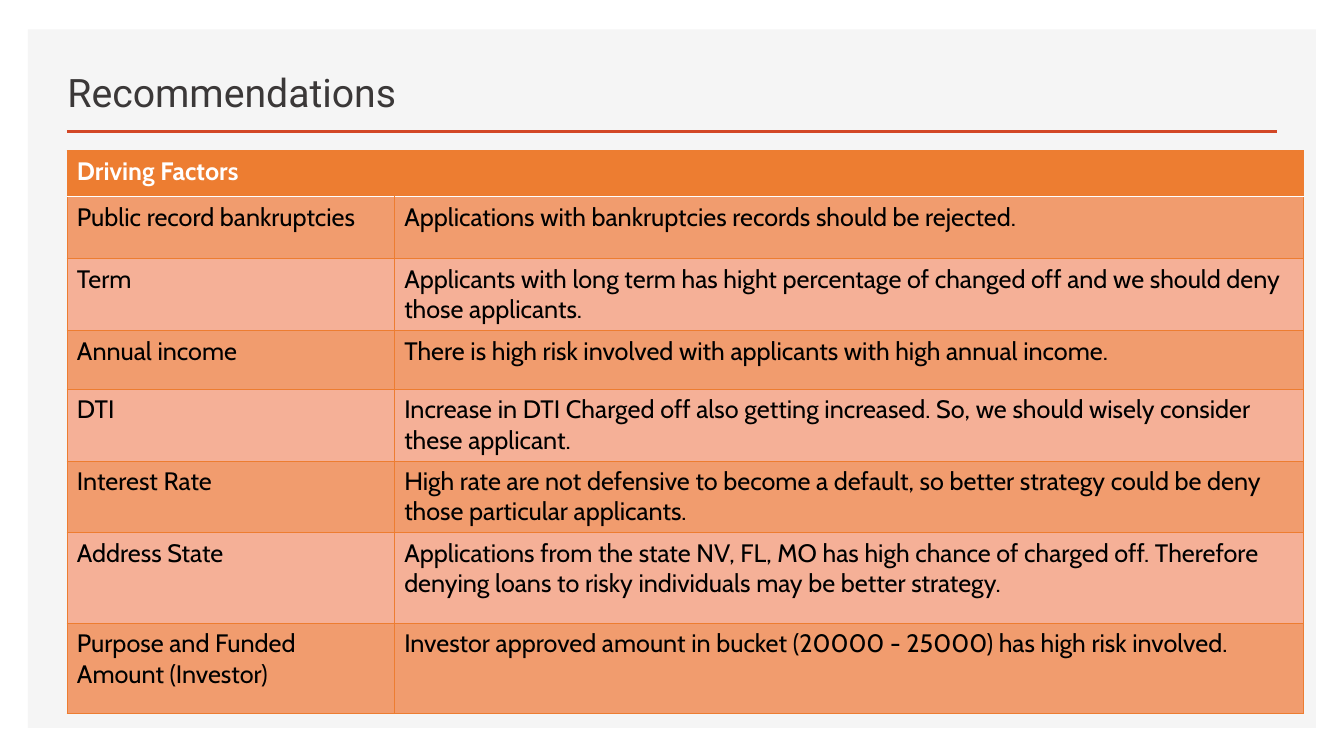
from dataclasses import dataclass

from lxml.etree import SubElement
from pptx import Presentation
from pptx.dml.color import RGBColor as RGB
from pptx.enum.shapes import MSO_CONNECTOR as CONNECTOR, MSO_SHAPE as SHAPE
from pptx.enum.text import MSO_ANCHOR as ANCHOR, MSO_AUTO_SIZE as AUTO_SIZE, PP_ALIGN as ALIGN
from pptx.oxml.ns import qn
from pptx.util import Pt


@dataclass(frozen=True)
class Theme:
    panel: str = "F5F5F5"
    rule: str = "D24726"
    title: str = "3B3838"
    accent: str = "ED7D31"
    dark_band: str = "F19C6E"
    light_band: str = "F5B097"
    white: str = "FFFFFF"
    black: str = "000000"
    title_font: str = "Roboto"
    body_font: str = "Cabin"
    title_size: int = 28
    body_size: int = 18


theme = Theme()


def style_text(frame, font, size, color, bold=False):
    for para in frame.paragraphs:
        para.alignment = ALIGN.LEFT
        for span in para.runs:
            span.font.name = font
            span.font.size = Pt(size)
            span.font.bold = bold
            span.font.color.rgb = RGB.from_string(color)


def add_border(cell, side, color, width):
    """Draw one side (L, R, T or B) of a cell; no color means no line."""
    props = cell._tc.get_or_add_tcPr()
    line = SubElement(props, qn(f"a:ln{side}"), w=str(Pt(width)))
    if color:
        SubElement(SubElement(line, qn("a:solidFill")), qn("a:srgbClr"), val=color)
    else:
        SubElement(line, qn("a:noFill"))


deck = Presentation()
deck.slide_width, deck.slide_height = Pt(960), Pt(540)
page = deck.slides.add_slide(deck.slide_layouts[5])

# Background panel, behind the title
panel = page.shapes.add_shape(SHAPE.RECTANGLE, Pt(20), Pt(21), Pt(920), Pt(499))
panel.shadow.inherit = False
panel.fill.solid()
panel.fill.fore_color.rgb = RGB.from_string(theme.panel)
panel.line.fill.background()
page.shapes._spTree.insert(2, panel._element)

# Title
title = page.shapes.title
title.left, title.top, title.width, title.height = Pt(41), Pt(35.3), Pt(541.5), Pt(50.4)
title.text_frame.text = "Recommendations"
title.text_frame.auto_size = AUTO_SIZE.NONE
title.text_frame.vertical_anchor = ANCHOR.BOTTOM
style_text(title.text_frame, theme.title_font, theme.title_size, theme.title)

# Rule under the title
rule = page.shapes.add_connector(CONNECTOR.STRAIGHT, Pt(47.8), Pt(94), Pt(912), Pt(94))
rule.line.color.rgb = RGB.from_string(theme.rule)
rule.line.width = Pt(2)
SubElement(rule._element.spPr, qn("a:effectLst"))

# Table of driving factors: label, advice, row height
factors = [
    ("Driving Factors", "", 33),
    ("Public record bankruptcies",
     "Applications with bankruptcies records should be rejected.", 44.2),
    ("Term",
     "Applicants with long term has hight percentage of changed off and we should deny "
     "those applicants.", 51.4),
    ("Annual income",
     "There is high risk involved with applicants with high annual income.", 41.6),
    ("DTI",
     "Increase in DTI Charged off also getting increased. So, we should wisely consider "
     "these applicant.", 51.4),
    ("Interest Rate",
     "High rate are not defensive to become a default, so better strategy could be deny "
     "those particular applicants.", 51.4),
    ("Address State",
     "Applications from the state NV, FL, MO has high chance of charged off. Therefore "
     "denying loans to risky individuals may be better strategy.", 64.4),
    ("Purpose and Funded Amount (Investor)",
     "Investor approved amount in bucket (20000 - 25000) has high risk involved.", 64.4),
]
column_widths = (233.8, 649.4)
table_height = sum(height for *_, height in factors)
table = page.shapes.add_table(len(factors), 2, Pt(47.8), Pt(107.6),
                              Pt(sum(column_widths)), Pt(table_height)).table
table.first_row = table.horz_banding = False
for column, width in zip(table.columns, column_widths):
    column.width = Pt(width)

for row, (*texts, height) in enumerate(factors):
    table.rows[row].height = Pt(height)
    header = row == 0
    if header:
        fill = theme.accent
    else:
        fill = theme.dark_band if row % 2 else theme.light_band
    for col, text in enumerate(texts):
        cell = table.cell(row, col)
        borders = {side: (theme.accent, 0.5) for side in "LRTB"}
        if header:
            borders["R" if col == 0 else "L"] = (None, 0)
            borders["B"] = (theme.white, 1)
        elif row == 1:
            borders["T"] = (theme.white, 1)
        for side, (color, width) in borders.items():
            add_border(cell, side, color, width)
        cell.fill.solid()
        cell.fill.fore_color.rgb = RGB.from_string(fill)
        if text:
            cell.text_frame.text = text
            style_text(cell.text_frame, theme.body_font, theme.body_size,
                       theme.white if header else theme.black, bold=header)

deck.save("out.pptx")
